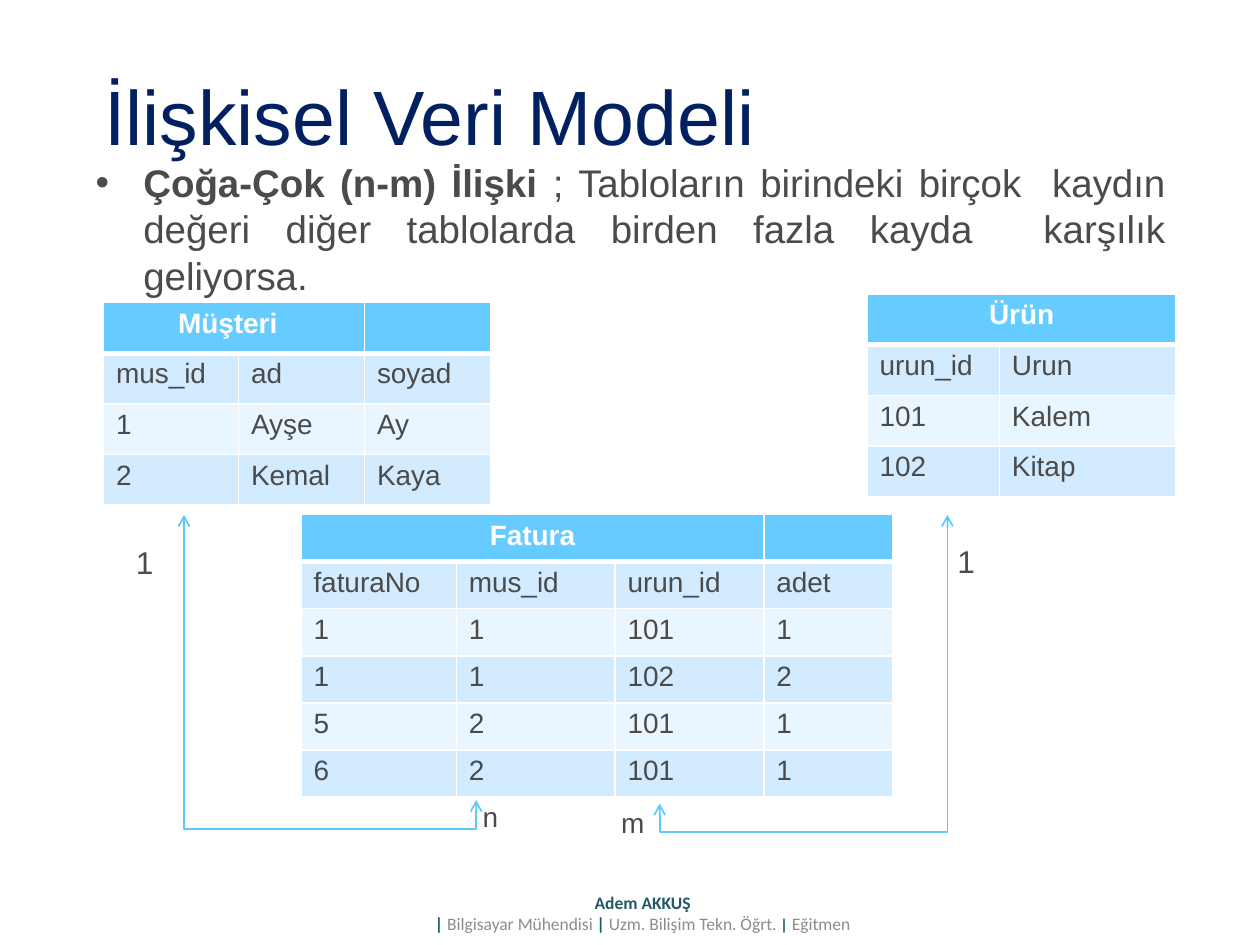
from lxml import etree
from pptx import Presentation
from pptx.dml.color import RGBColor
from pptx.enum import text
from pptx.oxml import ns
from pptx.util import Cm, Pt

COLORS = {
    "title": "002060",
    "body": "4B4B4B",
    "header": "66CCFF",
    "dark_row": "D2EBFF",
    "light_row": "EAF6FF",
    "white": "FFFFFF",
    "arrow": "5FC8FC",
    "name": "215968",
    "job": "8C8C8C",
}
LEFT, CENTER, JUSTIFY = text.PP_ALIGN.LEFT, text.PP_ALIGN.CENTER, text.PP_ALIGN.JUSTIFY


def rgb(name):
    return RGBColor.from_string(COLORS[name])


def place(shape, left, top, width, height):
    shape.left, shape.top, shape.width, shape.height = map(Cm, (left, top, width, height))


class PageBuilder:
    """Holds the text style and the page that is being filled."""

    def __init__(self, page, font="Arial"):
        self.page = page
        self.font = font

    def spans(self, para, parts, size, color="body", font=None):
        """Add (wording, bold[, color[, size]]) parts to a paragraph as runs."""
        for wording, bold, *special in parts:
            span = para.add_run()
            span.text = wording
            span.font.name = font or self.font
            span.font.bold = bold
            span.font.color.rgb = rgb(special[0] if special else color)
            span.font.size = Pt(special[1] if len(special) > 1 else size)

    def frame(self, box, top=0.03):
        """Give a box a tight, wrapping text frame and return it."""
        frame = box.text_frame
        frame.word_wrap = True
        frame.auto_size = text.MSO_AUTO_SIZE.SHAPE_TO_FIT_TEXT
        frame.vertical_anchor = text.MSO_ANCHOR.TOP
        frame.margin_left = frame.margin_right = frame.margin_bottom = 0
        frame.margin_top = Cm(top)
        return frame

    def title(self, wording, *area):
        box = self.page.shapes.title
        place(box, *area)
        para = self.frame(box).paragraphs[0]
        para.alignment = LEFT
        para.space_before = Pt(1)
        self.spans(para, [(wording, False)], 44, "title")

    def bullet(self, parts, *area):
        box = self.page.placeholders[1]
        place(box, *area)
        para = self.frame(box).paragraphs[0]
        para.alignment = JUSTIFY
        para.space_before = Pt(1)
        props = para._p.get_or_add_pPr()
        props.set("marL", str(Cm(0.98)))
        props.set("indent", str(Cm(-0.96)))
        self.spans(para, parts, 22)

    def label(self, wording, size, *area):
        box = self.page.shapes.add_textbox(*map(Cm, area))
        para = self.frame(box).paragraphs[0]
        para.space_before = Pt(1)
        self.spans(para, [(wording, False)], size)

    def footer(self, lines, *area):
        box = self.page.shapes.add_textbox(*map(Cm, area))
        frame = self.frame(box, top=0)
        for index, parts in enumerate(lines):
            para = frame.add_paragraph() if index else frame.paragraphs[0]
            para.alignment = CENTER
            self.spans(para, parts, 10, "name", "Calibri")

    def borders(self, cell, top, bottom):
        props = cell._tc.get_or_add_tcPr()
        sides = (("lnL", 1), ("lnR", 1), ("lnT", top), ("lnB", bottom))
        for index, (side, width) in enumerate(sides):
            line = etree.Element(ns.qn(f"a:{side}"), w=str(Pt(width)))
            fill = etree.SubElement(line, ns.qn("a:solidFill"))
            etree.SubElement(fill, ns.qn("a:srgbClr"), val=COLORS["white"])
            props.insert(index, line)  # borders come before the cell fill

    def table(self, heading, rows, left, top, widths, row_height, merged=2, heading_indent=None):
        """Draw a banded table whose heading spans the first merged columns."""
        count = len(rows) + 1
        grid = self.page.shapes.add_table(
            count, len(widths), Cm(left), Cm(top), Cm(sum(widths)), Cm(row_height * count)
        ).table
        for column, width in zip(grid.columns, widths):
            column.width = Cm(width)
        header = [heading] + [""] * (len(widths) - 1)
        for y, row in enumerate([header] + rows):
            grid.rows[y].height = Cm(row_height)
            for x, wording in enumerate(row):
                cell = grid.cell(y, x)
                cell.margin_left = Cm(0.25 if y else heading_indent or 0)
                cell.margin_right = cell.margin_bottom = 0
                cell.margin_top = Cm(0.11)
                cell.fill.solid()
                band = "dark_row" if y % 2 else "light_row"
                cell.fill.fore_color.rgb = rgb(band if y else "header")
                self.borders(cell, 3 if y == 1 else 1, 1 if y else 3)
                para = cell.text_frame.paragraphs[0]
                para.space_before = Pt(3.2)
                para.alignment = LEFT if y or heading_indent else CENTER
                if wording:
                    self.spans(para, [(wording, not y)], 16, "body" if y else "white")
        grid.cell(0, 0).merge(grid.cell(0, merged - 1))

    def relation(self, *points):
        """Draw an angled line with an open arrowhead at both ends."""
        start, *others = [(Cm(x), Cm(y)) for x, y in points]
        builder = self.page.shapes.build_freeform(*start)
        builder.add_line_segments(others, close=False)
        shape = builder.convert_to_shape()
        shape.shadow.inherit = False
        shape.fill.background()
        shape.line.color.rgb = rgb("arrow")
        shape.line.width = Pt(1)
        line = shape.line._get_or_add_ln()
        for end in ("headEnd", "tailEnd"):
            etree.SubElement(line, ns.qn(f"a:{end}"), type="arrow", w="med", len="med")


def main():
    deck = Presentation()
    deck.slide_width, deck.slide_height = Cm(25.4), Cm(19.05)
    builder = PageBuilder(deck.slides.add_slide(deck.slide_layouts[1]))

    builder.title("İlişkisel Veri Modeli", 2.1, 1.35, 17.93, 1.93)
    builder.bullet(
        [
            ("Çoğa-Çok (n-m) İlişki ", True),
            ("; Tabloların birindeki birçok  kaydın ", False),
            ("değeri diğer tablolarda birden fazla kayda  karşılık geliyorsa.", False),
        ],
        1.91, 3.18, 21.59, 2.84,
    )

    builder.table(
        "Müşteri",
        [["mus_id", "ad", "soyad"], ["1", "Ayşe", "Ay"], ["2", "Kemal", "Kaya"]],
        2.09, 6.1, [2.72, 2.54, 2.54], 1.02, heading_indent=1.5,
    )
    builder.table(
        "Ürün",
        [["urun_id", "Urun"], ["101", "Kalem"], ["102", "Kitap"]],
        17.48, 5.93, [2.67, 3.56], 1.02,
    )
    builder.table(
        "Fatura",
        [
            ["faturaNo", "mus_id", "urun_id", "adet"],
            ["1", "1", "101", "1"],
            ["1", "1", "102", "2"],
            ["5", "2", "101", "1"],
            ["6", "2", "101", "1"],
        ],
        6.07, 10.37, [3.13, 3.2, 3, 2.59], 0.95, merged=3,
    )

    builder.label("n", 16, 9.73, 16.08, 0.43, 0.71)
    builder.label("m", 16, 12.52, 16.2, 0.61, 0.71)
    builder.label("1", 18, 2.74, 10.92, 0.43, 0.84)
    builder.label("1", 18, 19.3, 10.9, 0.43, 0.84)

    builder.relation((3.71, 10.38), (3.71, 16.71), (9.6, 16.71), (9.6, 16.13))
    builder.relation((13.3, 16.2), (13.3, 16.78), (19.1, 16.78), (19.1, 10.38))

    builder.footer(
        [
            [("Adem AKKUŞ", True)],
            [
                ("|", True),
                (" Bilgisayar Mühendisi ", False, "job"),
                ("|", True),
                (" Uzm. Bilişim Tekn. Öğrt. ", False, "job"),
                ("|", True, "name", 9),
                (" Eğitmen", False, "job"),
            ],
        ],
        7.62, 17.98, 10.67, 0.86,
    )
    deck.save("out.pptx")


if __name__ == "__main__":
    main()
